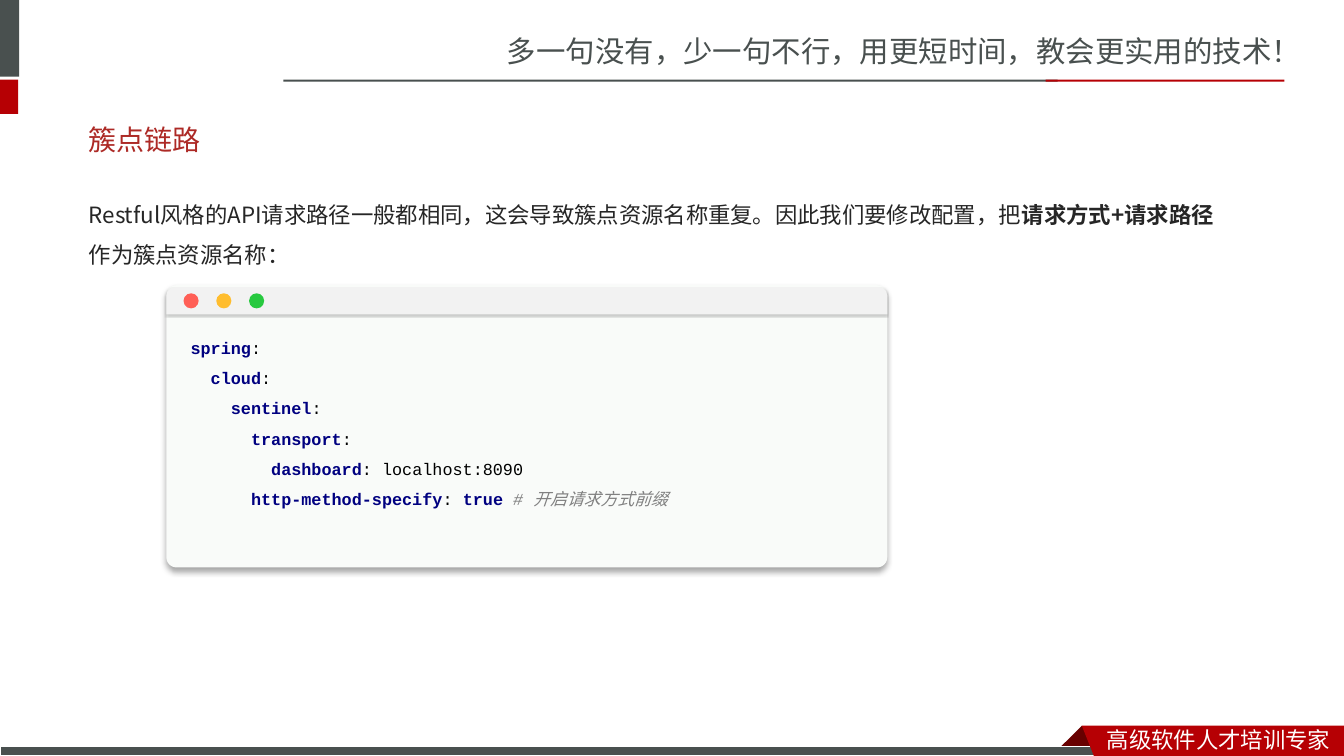
from lxml.etree import SubElement
from pptx import Presentation
from pptx.dml.color import RGBColor
from pptx.enum.shapes import MSO_SHAPE
from pptx.enum.text import MSO_ANCHOR, MSO_AUTO_SIZE, PP_ALIGN
from pptx.oxml.ns import qn
from pptx.util import Inches, Pt

WHITE = RGBColor(0xFF, 0xFF, 0xFF)
BLACK = RGBColor(0, 0, 0)
SLATE = RGBColor(0x49, 0x50, 0x4F)
RED = RGBColor(0xB6, 0x00, 0x04)
DARK_RED = RGBColor(0x68, 0x00, 0x00)
TITLE_RED = RGBColor(0xAD, 0x2A, 0x26)
INK = RGBColor(0x26, 0x26, 0x26)
NAVY = RGBColor(0x00, 0x00, 0x80)
GRAY = RGBColor(0x80, 0x80, 0x80)
PANEL = RGBColor(0xF9, 0xFB, 0xF9)
BAR = RGBColor(0xF2, 0xF2, 0xF2)
LIGHTS = [RGBColor(0xFF, 0x5F, 0x56), RGBColor(0xFF, 0xBD, 0x2E), RGBColor(0x27, 0xC9, 0x3F)]

SC = "Noto Sans CJK SC"
JP = "Noto Sans CJK JP"

# Each line: runs of (text, style), where k = key, p = plain, c = comment
CODE_STYLES = {"k": (NAVY, True, False), "p": (BLACK, False, False), "c": (GRAY, False, True)}
CODE = [
    [("spring", "k"), (":", "p")],
    [("  ", "p"), ("cloud", "k"), (":", "p")],
    [("    ", "p"), ("sentinel", "k"), (":", "p")],
    [("      ", "p"), ("transport", "k"), (":", "p")],
    [("        ", "p"), ("dashboard", "k"), (": localhost:8090", "p")],
    [("      ", "p"), ("http-method-specify", "k"), (": ", "p"), ("true ", "k"),
     ("# 开启请求方式前缀", "c")],
]


def add_run(p, text, size, font, color, bold=False, italic=False, east=SC):
    r = p.add_run()
    r.text = text
    r.font.size = Pt(size)
    r.font.bold = bold
    r.font.italic = italic
    r.font.color.rgb = color
    r.font.name = font
    SubElement(r.font._element, qn("a:ea"), typeface=east)


def paint(sp, fill, line=None):
    sp.shadow.inherit = False
    sp.fill.solid()
    sp.fill.fore_color.rgb = fill
    if line is None:
        sp.line.fill.background()
    else:
        sp.line.color.rgb = line
        sp.line.width = Pt(0.75)


def add_block(slide, kind, x, y, w, h, fill, line=None):
    sp = slide.shapes.add_shape(kind, Inches(x), Inches(y), Inches(w), Inches(h))
    paint(sp, fill, line)
    return sp


def add_polygon(slide, points, fill):
    points = [(Inches(x), Inches(y)) for x, y in points]
    builder = slide.shapes.build_freeform(*points[0])
    builder.add_line_segments(points[1:], close=True)
    paint(builder.convert_to_shape(), fill)


def add_text(slide, x, y, w, h):
    tf = slide.shapes.add_textbox(Inches(x), Inches(y), Inches(w), Inches(h)).text_frame
    tf.word_wrap = True
    return tf


def cast_shadow(sp, alpha, blur, dist):
    """Add a black shadow that falls straight down; blur and dist in points."""
    effects = sp._element.spPr.find(qn("a:effectLst"))
    shadow = SubElement(effects, qn("a:outerShdw"), blurRad=str(Pt(blur)), dist=str(Pt(dist)),
                        dir="5400000", algn="t", rotWithShape="0")
    color = SubElement(shadow, qn("a:srgbClr"), val="000000")
    SubElement(color, qn("a:alpha"), val=str(alpha * 1000))


def place(sp, x, y, w, h, anchor):
    """Move a placeholder and return its first paragraph, left aligned and without bullet."""
    sp.left, sp.top, sp.width, sp.height = Inches(x), Inches(y), Inches(w), Inches(h)
    tf = sp.text_frame
    tf.word_wrap = True
    tf.auto_size = MSO_AUTO_SIZE.NONE
    tf.vertical_anchor = anchor
    p = tf.paragraphs[0]
    p.alignment = PP_ALIGN.LEFT
    p.space_before = Pt(0)
    pPr = p._p.get_or_add_pPr()
    pPr.set("marL", "0")
    pPr.set("indent", "0")
    SubElement(pPr, qn("a:buNone"))
    return p


def add_header(slide, x, y, w):
    """Draw the slogan, its two-colour rule ending at x + w, and the left edge marks."""
    rect = MSO_SHAPE.RECTANGLE
    rule_y = y + 0.51
    add_block(slide, rect, 0, 0, 0.19, 0.76, SLATE)
    add_block(slide, rect, 0, rule_y, 0.18, 0.34, RED)
    add_block(slide, rect, x, rule_y, 7.68, 0.02, SLATE)
    add_block(slide, rect, x + w - 2.37, rule_y, 2.37, 0.02, RED)
    tf = add_text(slide, x + 2.12, y, 8.41, 0.47)
    add_run(tf.paragraphs[0], "多一句没有，少一句不行，用更短时间，教会更实用的技术！", 21, SC, SLATE)


def add_footer(slide, x, y, w, h):
    """Draw the bottom bar and the folded ribbon, whose box is given."""
    right, bottom = x + w, y + h
    add_polygon(slide, [(x, y), (x + 0.22, y + 0.22), (x + 0.21, y + 0.23),
                        (x - 0.21, y + 0.23), (x - 0.22, y + 0.22)], DARK_RED)
    add_block(slide, MSO_SHAPE.RECTANGLE, 0, y + 0.21, 10.99, 0.09, SLATE, WHITE)
    add_polygon(slide, [(x, y), (right, y), (right, bottom), (x + 0.12, bottom)], RED)
    tf = add_text(slide, x + 0.15, y - 0.05, w - 0.15, 0.37)
    add_run(tf.paragraphs[0], "高级软件人才培训专家", 16, SC, WHITE)


def add_body(slide, x, y, w):
    p = place(slide.shapes.title, x, y, w, 0.44, MSO_ANCHOR.MIDDLE)
    add_run(p, "簇点链路", 20, "Lato", TITLE_RED)
    p = place(slide.placeholders[1], x, y + 0.65, w - 0.17, 0.91, MSO_ANCHOR.TOP)
    p.line_spacing = 1.5
    for text, bold in [
        ("Restful风格的API请求路径一般都相同，这会导致簇点资源名称重复。因此我们要修改配置，把", False),
        ("请求方式+请求路径", True),
        ("作为簇点资源名称：", False),
    ]:
        add_run(p, text, 16, JP, INK, bold, east=JP)


def add_code_window(slide, x, y, w, h):
    panel = add_block(slide, MSO_SHAPE.ROUNDED_RECTANGLE, x, y, w, h, PANEL)
    panel.adjustments[0] = 0.036
    cast_shadow(panel, 34, 4, 3)

    tf = add_text(slide, x, y + 0.37, w - 1.18, 1.89)
    tf.margin_left = tf.margin_right = Inches(0.24)
    for i, line in enumerate(CODE):
        p = tf.add_paragraph() if i else tf.paragraphs[0]
        p.line_spacing = Pt(21.6)
        for text, style in line:
            add_run(p, text, 12, "Courier New", *CODE_STYLES[style])

    bar = add_block(slide, MSO_SHAPE.ROUND_2_SAME_RECTANGLE, x, y + 0.02, w, 0.27, BAR)
    bar.adjustments[0] = 0.3
    cast_shadow(bar, 20, 1, 1)
    for i, color in enumerate(LIGHTS):
        add_block(slide, MSO_SHAPE.OVAL, x + 0.17 + 0.325 * i, y + 0.08, 0.15, 0.15, color)


def main():
    prs = Presentation()
    prs.slide_width, prs.slide_height = Inches(13.33), Inches(7.5)
    slide = prs.slides.add_slide(prs.slide_layouts[1])
    add_header(slide, 2.81, 0.28, 9.93)
    add_footer(slide, 10.73, 7.2, 2.6, 0.3)
    add_body(slide, 0.78, 1.16, 11.7)
    add_code_window(slide, 1.65, 2.83, 7.15, 2.8)
    prs.save("out.pptx")


if __name__ == "__main__":
    main()
